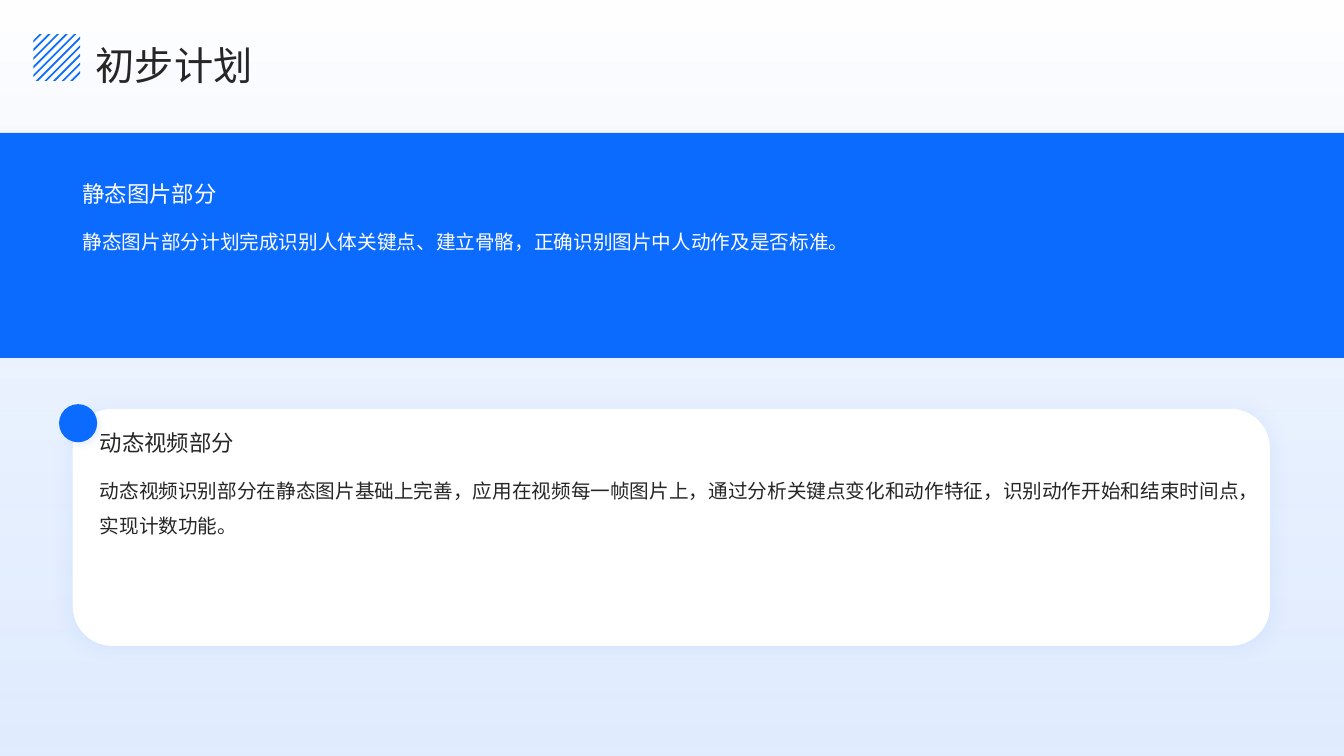
from lxml import etree
from pptx import Presentation
from pptx import util as u
from pptx.dml.color import RGBColor
from pptx.enum import shapes, text
from pptx.oxml import ns

BLUE = RGBColor(0x0C, 0x6B, 0xFF)
PALE_BLUE = RGBColor(0xCE, 0xE1, 0xFF)
WHITE = RGBColor(0xFF, 0xFF, 0xFF)
DARK = RGBColor(0x26, 0x26, 0x26)
FONT = "Noto Sans CJK SC"
WIDTH, HEIGHT = 960, 540

TITLE = "初步计划"
SECTIONS = [
    ("静态图片部分",
     "静态图片部分计划完成识别人体关键点、建立骨骼，正确识别图片中人动作及是否标准。"),
    ("动态视频部分",
     "动态视频识别部分在静态图片基础上完善，应用在视频每一帧图片上，通过分析关键点变化和动作特征，"
     "识别动作开始和结束时间点，实现计数功能。"),
]
# (left, heading top, width, body height, colour) of each section's text
SECTION_PLACES = [(51.8, 113, 854.6, 94.3, WHITE), (64.1, 290.9, 842.4, 118.8, DARK)]
HEADING_HEIGHT, BODY_OFFSET = 40.3, 39.2

ICON_LEFT, ICON_TOP, ICON_SIDE = 23.8, 24.5, 33.4
STRIPE_COUNT, STRIPE_START, STRIPE_PITCH, STRIPE_WIDTH = 10, 4.3, 6.16, 1.7


def add_filled(slide, kind, place, color):
    shape = slide.shapes.add_shape(kind, *map(u.Pt, place))
    shape.shadow.inherit = False
    shape.line.fill.background()
    shape.fill.solid()
    shape.fill.fore_color.rgb = color
    return shape


def add_alpha(color_element, percent):
    etree.SubElement(color_element, ns.qn("a:alpha"), val=str(percent * 1000))


def add_shadow(shape, color, alpha, blur, distance, angle):
    effects = shape.element.spPr.find(ns.qn("a:effectLst"))
    shadow = etree.SubElement(
        effects, ns.qn("a:outerShdw"), blurRad=str(u.Pt(blur)), dist=str(u.Pt(distance)),
        dir=str(angle * 60000), algn="ctr", rotWithShape="0")
    add_alpha(etree.SubElement(shadow, ns.qn("a:srgbClr"), val=str(color)), alpha)


def add_background(slide):
    background = add_filled(slide, shapes.MSO_SHAPE.RECTANGLE, (0, 0, WIDTH, HEIGHT), WHITE)
    background.fill.gradient()
    background.fill.gradient_angle = 270
    for stop, color, position in zip(background.fill.gradient_stops, (WHITE, PALE_BLUE), (0, 1)):
        stop.color.rgb = color
        stop.position = position
    last_color = background.element.spPr.findall(".//" + ns.qn("a:srgbClr"))[-1]
    add_alpha(last_color, 60)


def diagonal_ends(total):
    """Ends of the line x + y = total inside the icon square, in hundredths of a point."""
    near, far = max(0, total - ICON_SIDE), min(total, ICON_SIDE)
    return [(far * 100, near * 100), (near * 100, far * 100)]


def add_striped_icon(slide):
    builder = None
    for index in range(STRIPE_COUNT):
        total = STRIPE_START + index * STRIPE_PITCH
        corners = diagonal_ends(total) + diagonal_ends(total + STRIPE_WIDTH)[::-1]
        if builder is None:
            builder = slide.shapes.build_freeform(*corners[0], scale=u.Pt(1) / 100)
        else:
            builder.move_to(*corners[0])
        builder.add_line_segments(corners[1:], close=True)
    icon = builder.convert_to_shape(u.Pt(ICON_LEFT), u.Pt(ICON_TOP))
    icon.shadow.inherit = False
    icon.line.fill.background()
    icon.fill.solid()
    icon.fill.fore_color.rgb = BLUE


def fill_placeholder(placeholder, words, place, size, color, spacing, anchor, margins=(7.2, 3.6)):
    placeholder.left, placeholder.top, placeholder.width, placeholder.height = map(u.Pt, place)
    across, down = map(u.Pt, margins)
    frame = placeholder.text_frame
    frame.text = words
    frame_format = {
        "word_wrap": True, "auto_size": text.MSO_AUTO_SIZE.NONE, "vertical_anchor": anchor,
        "margin_left": across, "margin_right": across, "margin_top": down, "margin_bottom": down}
    for name, value in frame_format.items():
        setattr(frame, name, value)

    paragraph = frame.paragraphs[0]
    properties = paragraph._p.get_or_add_pPr()
    properties.set("marL", "0")
    properties.set("indent", "0")
    etree.SubElement(properties, ns.qn("a:buNone"))
    paragraph_format = {"alignment": text.PP_ALIGN.LEFT, "line_spacing": spacing,
                        "space_before": u.Pt(0), "space_after": u.Pt(0)}
    for name, value in paragraph_format.items():
        setattr(paragraph, name, value)

    font = paragraph.runs[0].font
    for name, value in {"name": FONT, "size": u.Pt(size), "bold": False}.items():
        setattr(font, name, value)
    font.color.rgb = color
    run_properties = paragraph.runs[0]._r.get_or_add_rPr()
    run_properties.find(ns.qn("a:latin")).addnext(
        etree.Element(ns.qn("a:ea"), typeface=FONT))
    # Bring the text in front of the drawn panels
    placeholder.element.getparent().append(placeholder.element)


def main():
    presentation = Presentation()
    presentation.slide_width, presentation.slide_height = u.Pt(WIDTH), u.Pt(HEIGHT)
    slide = presentation.slides.add_slide(presentation.slide_layouts.get_by_name("Comparison"))
    title, *section_placeholders = slide.placeholders

    add_background(slide)
    add_filled(slide, shapes.MSO_SHAPE.RECTANGLE, (0, 95, WIDTH, 160.6), BLUE)
    card = add_filled(slide, shapes.MSO_SHAPE.ROUNDED_RECTANGLE, (52, 292, 855.2, 169.4), WHITE)
    add_shadow(card, BLUE, 8, 15, 0, 0)
    dot = add_filled(slide, shapes.MSO_SHAPE.FLOWCHART_CONNECTOR, (42.2, 288.7, 27.2, 27.2), BLUE)
    add_shadow(dot, PALE_BLUE, 40, 4, 3, 45)
    add_striped_icon(slide)

    fill_placeholder(title, TITLE, (68.4, 19.4, 817.2, 42.5), 28, DARK, 1.3,
                     text.MSO_ANCHOR.TOP, margins=(0, 0))
    pairs = zip(section_placeholders[::2], section_placeholders[1::2])
    for (heading, body), words, place in zip(pairs, SECTIONS, SECTION_PLACES):
        left, top, width, body_height, color = place
        fill_placeholder(heading, words[0], (left, top, width, HEADING_HEIGHT), 16, color, 1.5,
                         text.MSO_ANCHOR.MIDDLE)
        fill_placeholder(body, words[1], (left, top + BODY_OFFSET, width, body_height), 14, color,
                         1.5, text.MSO_ANCHOR.TOP)

    presentation.save("out.pptx")


if __name__ == "__main__":
    main()
